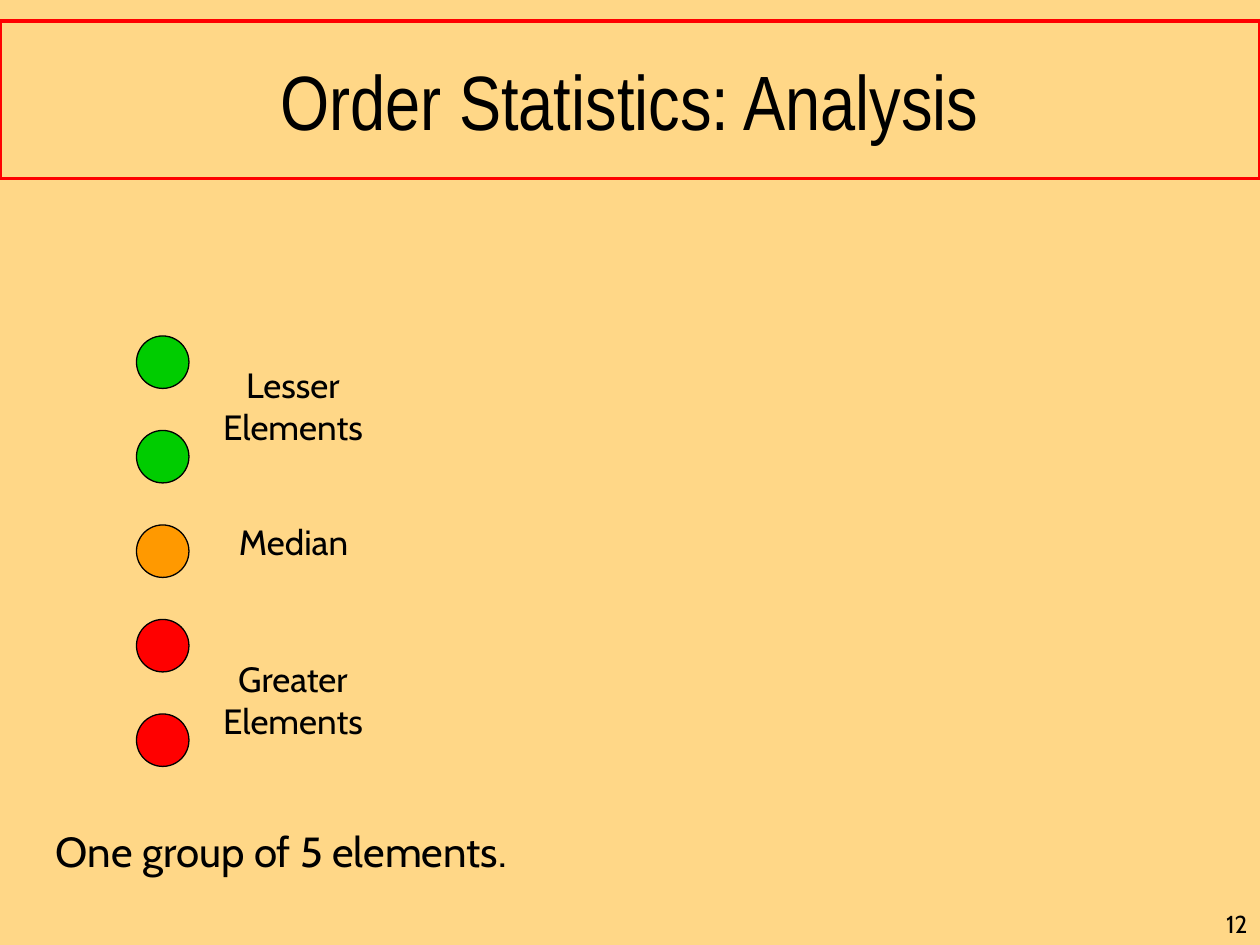
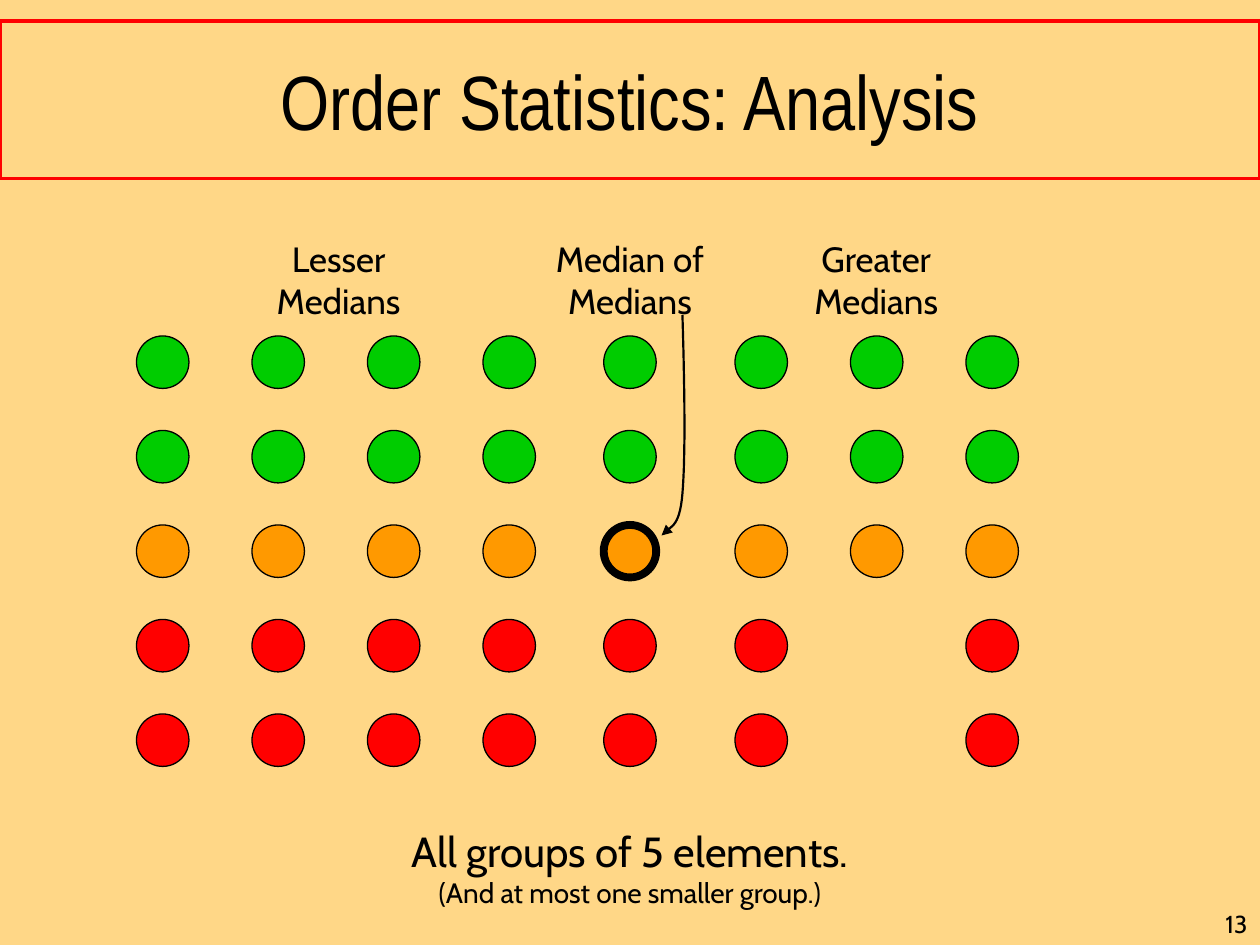
"""Build two slides on the median-of-medians analysis of order statistics."""
import lxml.etree
import pptx
import pptx.dml.color
import pptx.enum.shapes
import pptx.enum.text
import pptx.oxml.ns
import pptx.util

COLORS = {"page": "FFD787", "frame": "FF0000", "ink": "000000",
          "lesser": "00CC00", "median": "FF9900", "greater": "FF0000"}
TITLE_FONT, BODY_FONT = "Arial Narrow", "Cabin"
ALIGN = pptx.enum.text.PP_ALIGN
ANCHOR = pptx.enum.text.MSO_ANCHOR

deck = pptx.Presentation()
deck.slide_width = pptx.util.Inches(10)
deck.slide_height = pptx.util.Inches(7.5)
GRID_COLUMNS, GRID_ROWS = 120, 90
UNIT = deck.slide_width // GRID_COLUMNS

DOT_SIZE = 5
DOT_ROWS = [(32 + 9 * index, kind) for index, kind in
            enumerate(["lesser", "lesser", "median", "greater", "greater"])]
FULL_GROUP, SHORT_GROUP = 5, 3
MIDDLE = (GRID_COLUMNS - DOT_SIZE) / 2
LESSER_COLUMNS = [13 + 11 * index for index in range(4)]
GREATER_COLUMNS = [70 + 11 * index for index in range(3)]
ALL_COLUMNS = LESSER_COLUMNS + [MIDDLE] + GREATER_COLUMNS
SHORT_COLUMN = GREATER_COLUMNS[1]


def color(name):
    """Return the named colour."""
    return pptx.dml.color.RGBColor.from_string(COLORS[name])


def add_text(page, text, *, left, top, width, height, size=20, later_size=None,
             font=BODY_FONT, align=ALIGN.CENTER, anchor=ANCHOR.TOP, wrap=False):
    """Add a text box, one paragraph per line, measured in grid units."""
    box = page.shapes.add_textbox(*(round(value * UNIT) for value in (left, top, width, height)))
    frame = box.text_frame
    frame.word_wrap = wrap
    frame.vertical_anchor = anchor
    for index, line in enumerate(text.split("\n")):
        para = frame.add_paragraph() if index else frame.paragraphs[0]
        para.alignment = align
        span = para.add_run()
        span.text = line
        span.font.name = font
        span.font.size = pptx.util.Pt(later_size if index and later_size else size)
        span.font.color.rgb = color("ink")
    return box


slides = [
    {"number": "12", "columns": LESSER_COLUMNS[:1], "texts": [
        dict(text="Lesser\nElements", left=19.5, top=34, width=16.8, height=9.2),
        dict(text="Median", left=20.9, top=49, width=14.1, height=5.2),
        dict(text="Greater\nElements", left=19.5, top=62, width=16.8, height=9.2),
        dict(text="One group of 5 elements.", left=1.6, top=78, width=50.4, height=6, size=24)]},
    {"number": "13", "columns": ALL_COLUMNS, "texts": [
        dict(text="Lesser\nMedians", left=24.4, top=22, width=15.7, height=9.2),
        dict(text="Median of\nMedians", left=50.9, top=22, width=18.2, height=9.2),
        dict(text="Greater\nMedians", left=75.6, top=22, width=15.7, height=9.2),
        dict(text="All groups of 5 elements.\n(And at most one smaller group.)",
             left=35.4, top=78, width=49.2, height=9.2, size=24, later_size=16)]},
]

for content in slides:
    page = deck.slides.add_slide(deck.slide_layouts[6])
    page.background.fill.solid()
    page.background.fill.fore_color.rgb = color("page")

    title = add_text(page, "Order Statistics: Analysis", left=0, top=2, width=GRID_COLUMNS,
                     height=15, size=44, font=TITLE_FONT, anchor=ANCHOR.MIDDLE, wrap=True)
    title.line.color.rgb = color("frame")
    title.line.width = pptx.util.Pt(2)

    for column in content["columns"]:
        count = SHORT_GROUP if column == SHORT_COLUMN else FULL_GROUP
        for row, kind in DOT_ROWS[:count]:
            dot = page.shapes.add_shape(
                pptx.enum.shapes.MSO_SHAPE.OVAL,
                *(round(value * UNIT) for value in (column, row, DOT_SIZE, DOT_SIZE)))
            dot.shadow.inherit = False
            dot.fill.solid()
            dot.fill.fore_color.rgb = color(kind)
            dot.line.color.rgb = color("ink")
            is_pivot = column == MIDDLE and kind == "median"
            dot.line.width = pptx.util.Pt(4.5 if is_pivot else 0.75)

    for text_format in content["texts"]:
        add_text(page, **text_format)
    add_text(page, content["number"], left=GRID_COLUMNS - 6, top=GRID_ROWS - 4,
             width=6, height=4, size=14, align=ALIGN.RIGHT, wrap=True)

STEPS = 16
curves = [((65, 30), (65.2, 36.7), (65.3, 43.4), (65, 47)),
          ((65, 47), (64.7, 50.5), (63.8, 50), (63, 51))]
points = []
for curve in curves:
    for step in range(1, STEPS + 1):
        t = step / STEPS
        weights = ((1 - t) ** 3, 3 * t * (1 - t) ** 2, 3 * t ** 2 * (1 - t), t ** 3)
        points.append(tuple(round(UNIT * sum(weight * point[axis]
                                             for weight, point in zip(weights, curve)))
                            for axis in (0, 1)))
start_x, start_y = curves[0][0]
builder = page.shapes.build_freeform(start_x * UNIT, start_y * UNIT)
builder.add_line_segments(points, close=False)
arrow = builder.convert_to_shape()
arrow.shadow.inherit = False
arrow.fill.background()
arrow.line.color.rgb = color("ink")
arrow.line.width = pptx.util.Pt(1.25)
outline = arrow.line._get_or_add_ln()
lxml.etree.SubElement(outline, pptx.oxml.ns.qn("a:tailEnd"), type="triangle")

deck.save("out.pptx")
